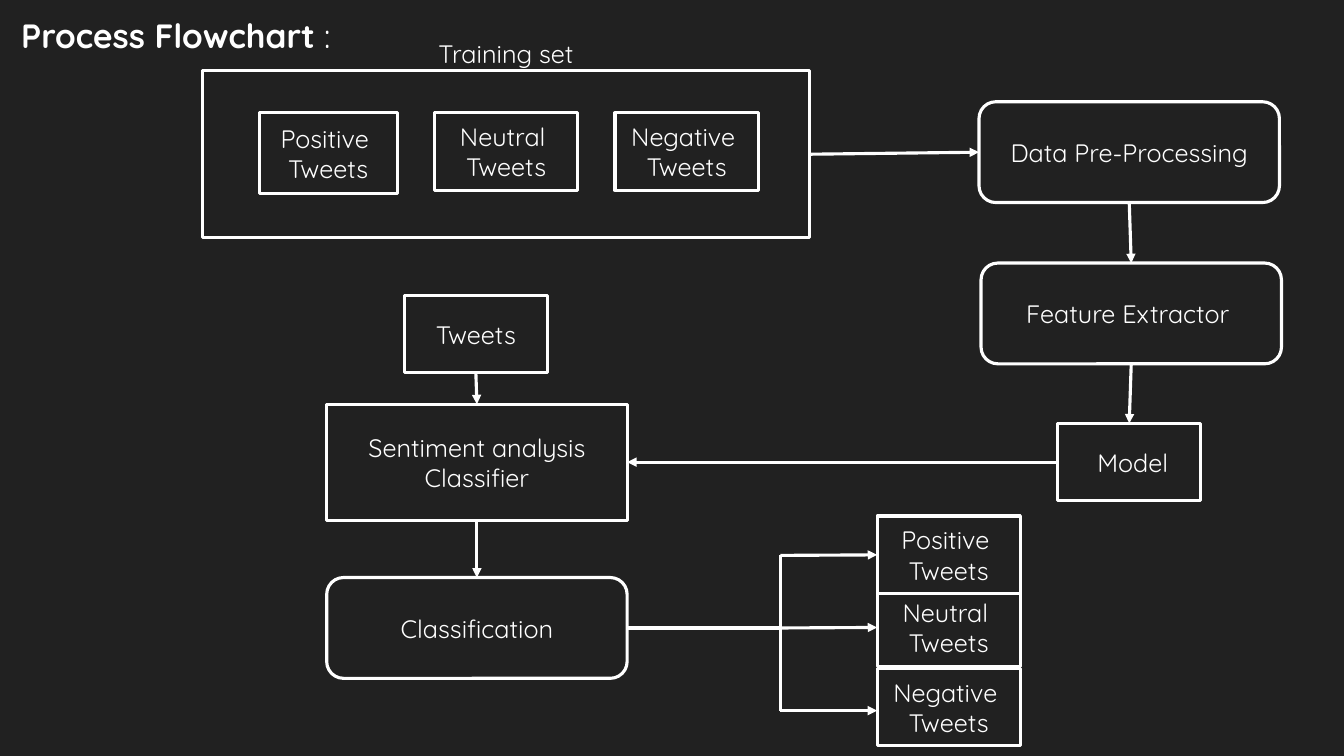
from lxml import etree
from pptx import Presentation
from pptx import util as u
from pptx.dml import color
from pptx.enum import shapes, text
from pptx.oxml import ns

BACKGROUND = "212121"
FOREGROUND = "FFFFFF"
FONT = "Quicksand"
LINE_WIDTH = u.Pt(2.25)
TOP, LEFT, BOTTOM, RIGHT = range(4)
RECTANGLE = shapes.MSO_SHAPE.RECTANGLE
ROUNDED = shapes.MSO_SHAPE.ROUNDED_RECTANGLE
SMALL_BOX = (1.42, 0.77)
STAGE_BOX = (2.98, 1)
POSITIVE, NEUTRAL, NEGATIVE = (
    f"{mood} \nTweets" for mood in ("Positive", "Neutral", "Negative"))


def rgb(hex_value):
    return color.RGBColor.from_string(hex_value)


def format_runs(text_frame, size):
    for paragraph in text_frame.paragraphs:
        for run in paragraph.runs:
            run.font.name = FONT
            run.font.size = u.Pt(size)
            run.font.color.rgb = rgb(FOREGROUND)


def add_box(slide, left, top, size, label="", kind=RECTANGLE):
    width, height = size
    shape = slide.shapes.add_shape(kind, u.Inches(left), u.Inches(top),
                                   u.Inches(width), u.Inches(height))
    shape.shadow.inherit = False
    shape.fill.solid()
    shape.fill.fore_color.rgb = rgb(BACKGROUND)
    shape.line.color.rgb = rgb(FOREGROUND)
    shape.line.width = LINE_WIDTH
    if label:
        frame = shape.text_frame
        frame.text = label
        frame.word_wrap = True
        frame.vertical_anchor = text.MSO_ANCHOR.MIDDLE
        for paragraph in frame.paragraphs:
            paragraph.alignment = text.PP_ALIGN.CENTER
        format_runs(frame, 18)
    return shape


def add_line(slide, start=(0, 0), end=(0, 0), arrow=True):
    connector = slide.shapes.add_connector(
        shapes.MSO_CONNECTOR.STRAIGHT,
        *(u.Inches(value) for value in (*start, *end)))
    connector.line.color.rgb = rgb(FOREGROUND)
    connector.line.width = LINE_WIDTH
    if arrow:
        etree.SubElement(connector.line._get_or_add_ln(),
                         ns.qn("a:tailEnd"), type="triangle")
    etree.SubElement(connector._element.spPr, ns.qn("a:effectLst"))
    return connector


def join(slide, source, source_side, target, target_side):
    """Draw an arrow between the middles of two box sides."""
    connector = add_line(slide)
    connector.begin_connect(source, source_side)
    connector.end_connect(target, target_side)


def add_title(slide, left, top, width, height):
    title = slide.shapes.title
    title.left, title.top = u.Inches(left), u.Inches(top)
    title.width, title.height = u.Inches(width), u.Inches(height)
    frame = title.text_frame
    frame.text = "Process Flowchart"
    frame.auto_size = text.MSO_AUTO_SIZE.NONE
    frame.vertical_anchor = text.MSO_ANCHOR.TOP
    paragraph = frame.paragraphs[0]
    paragraph.alignment = text.PP_ALIGN.LEFT
    paragraph.add_run().text = " :"
    format_runs(frame, 24)
    for run, bold in zip(paragraph.runs, (True, False)):
        run.font.bold = bold


def add_training_set(slide, left, top, width, height):
    frame_box = add_box(slide, left, top, (width, height))
    box_top = top + 0.42
    add_box(slide, left + 0.56, box_top, (1.37, 0.8), POSITIVE)
    add_box(slide, left + 2.3, box_top, SMALL_BOX, NEUTRAL)
    add_box(slide, left + 4.09, box_top, SMALL_BOX, NEGATIVE)
    caption = slide.shapes.add_textbox(u.Inches(left + 2.24), u.Inches(top - 0.37),
                                       u.Inches(1.56), u.Inches(0.4))
    caption.text_frame.text = "Training set"
    caption.text_frame.word_wrap = False
    format_runs(caption.text_frame, 18)
    return frame_box


def add_model_column(slide, left, top):
    """Return the first and last boxes of the column that builds the model."""
    processing = add_box(slide, left, top, STAGE_BOX, "Data Pre-Processing", ROUNDED)
    extractor = add_box(slide, left + 0.02, top + 1.6, STAGE_BOX,
                        "Feature Extractor ", ROUNDED)
    model = add_box(slide, left + 0.78, top + 3.19, SMALL_BOX, " Model")
    join(slide, processing, BOTTOM, extractor, TOP)
    join(slide, extractor, BOTTOM, model, TOP)
    return processing, model


def add_classifier_column(slide, left, top):
    """Return the classifier and classification boxes."""
    tweets = add_box(slide, left + 0.77, top, SMALL_BOX, "Tweets")
    classifier = add_box(slide, left, top + 1.08, (2.98, 1.15),
                         "Sentiment analysis Classifier")
    classification = add_box(slide, left, top + 2.8, STAGE_BOX,
                             "Classification", ROUNDED)
    join(slide, tweets, BOTTOM, classifier, TOP)
    join(slide, classifier, BOTTOM, classification, TOP)
    return classifier, classification


def add_results(slide, left, top, classification):
    """Stack the result boxes and branch to them from the classification."""
    add_box(slide, left, top + 1.51, SMALL_BOX, NEGATIVE)
    neutral = add_box(slide, left, top + 0.72, SMALL_BOX, NEUTRAL)
    positive = add_box(slide, left, top, SMALL_BOX, POSITIVE)

    trunk = left - 0.96
    upper, middle, lower = top + 0.39, top + 1.11, top + 1.93
    stem = add_line(slide, end=(trunk, middle), arrow=False)
    stem.begin_connect(classification, RIGHT)
    add_line(slide, (trunk, lower), (trunk, upper), arrow=False)
    for result, level in ((neutral, middle), (positive, upper)):
        branch = add_line(slide, (trunk, level), (left, level))
        branch.end_connect(result, LEFT)
    add_line(slide, (trunk, lower), (left, lower))


def main():
    presentation = Presentation()
    presentation.slide_width = u.Inches(13.33)
    presentation.slide_height = u.Inches(7.5)
    slide = presentation.slides.add_slide(presentation.slide_layouts[5])
    slide.background.fill.solid()
    slide.background.fill.fore_color.rgb = rgb(BACKGROUND)

    training_set = add_training_set(slide, 2.01, 0.7, 6.02, 1.66)
    processing, model = add_model_column(slide, 9.71, 1.01)
    classifier, classification = add_classifier_column(slide, 3.24, 2.93)
    add_results(slide, 8.7, 5.12, classification)
    join(slide, training_set, RIGHT, processing, LEFT)
    join(slide, model, LEFT, classifier, RIGHT)
    add_title(slide, 0.11, 0.1, 3.34, 0.5)
    presentation.save("out.pptx")


if __name__ == "__main__":
    main()
